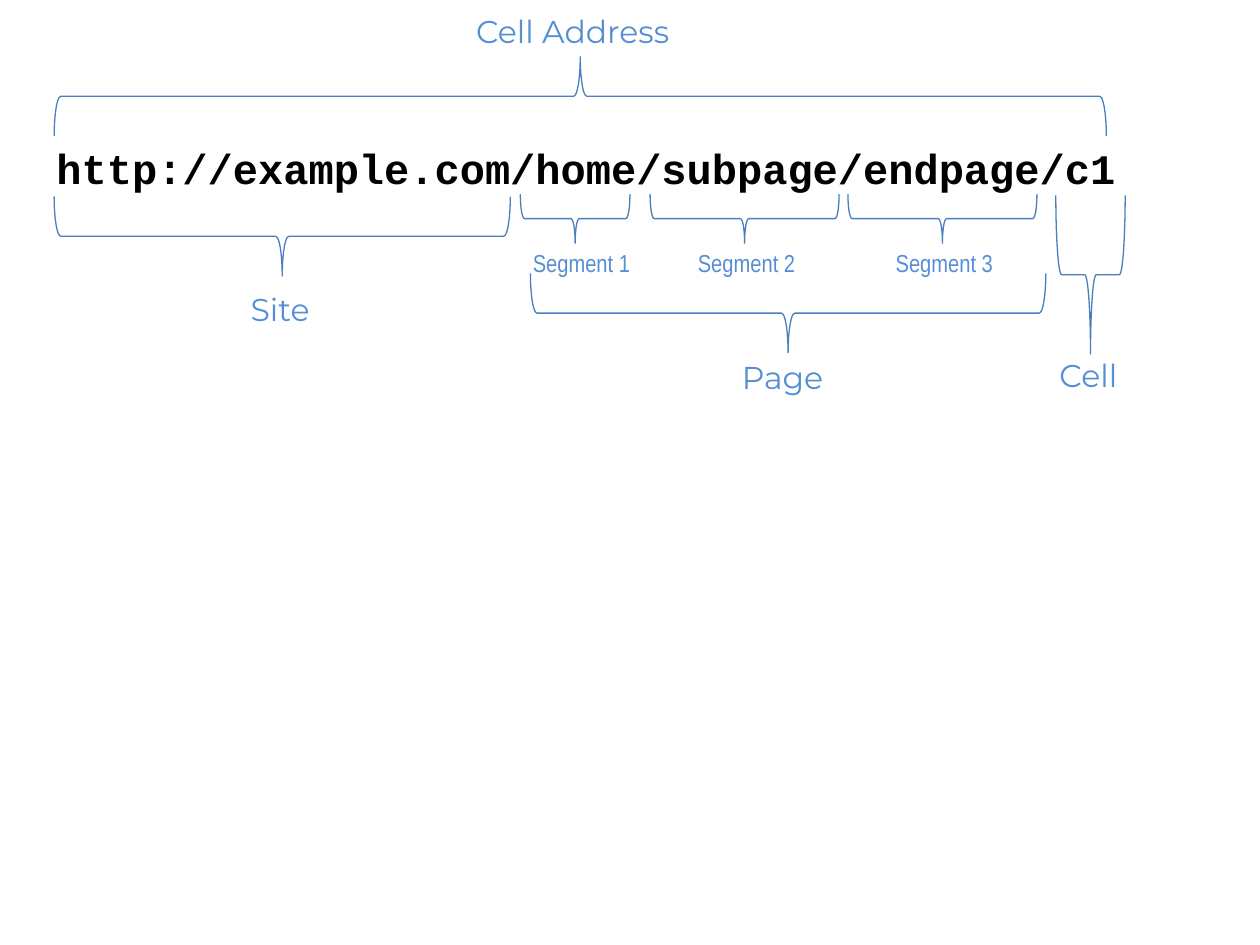
from pptx import Presentation
from pptx.dml.color import RGBColor
from pptx.enum.shapes import MSO_SHAPE
from pptx.enum.text import MSO_ANCHOR, MSO_AUTO_SIZE
from pptx.util import Inches, Pt

# Content: address and its parts
ADDRESS = "http://example.com/home/subpage/endpage/c1"
ADDRESS_BOX = (0.35, 1.08, 8.67, 0.5)
LABEL_COLOR, BRACE_COLOR = "558ED5", "4B7EBC"
MAIN = dict(font="Montserrat", size=18, color=LABEL_COLOR)
SEGMENT = dict(font="Arial Narrow", size=14, color=LABEL_COLOR)

# Label, label box, area its brace covers, brace rotation, label format
PARTS = [
    ("Cell Address", (3.68, 0.05, 1.95, 0.4), (0.43, 0.45, 8.35, 0.63), 90, MAIN),
    ("Site", (1.89, 2.25, 0.75, 0.4), (0.43, 1.56, 3.62, 0.63), 270, MAIN),
    ("Segment 1", (4.13, 1.92, 0.98, 0.34), (4.13, 1.54, 0.87, 0.39), 270, SEGMENT),
    ("Segment 2", (5.44, 1.92, 0.98, 0.34), (5.16, 1.54, 1.5, 0.39), 270, SEGMENT),
    ("Segment 3", (7.01, 1.92, 0.98, 0.34), (6.73, 1.54, 1.5, 0.39), 270, SEGMENT),
    ("Cell", (8.31, 2.78, 0.73, 0.4), (8.38, 1.55, 0.55, 1.26), 270, MAIN),
    ("Page", (5.79, 2.79, 0.89, 0.4), (4.21, 2.17, 4.09, 0.63), 270, MAIN),
]


def rgb(value):
    return RGBColor.from_string(value)


def add_text(slide, text, box, *, font, size, color, bold=False):
    frame = slide.shapes.add_textbox(*map(Inches, box)).text_frame
    frame.word_wrap = False
    frame.auto_size = MSO_AUTO_SIZE.SHAPE_TO_FIT_TEXT
    frame.vertical_anchor = MSO_ANCHOR.TOP
    run = frame.paragraphs[0].add_run()
    run.text = text
    run.font.name = font
    run.font.size = Pt(size)
    run.font.bold = bold
    run.font.color.rgb = rgb(color)


def add_brace(slide, area, rotation):
    left, top, span, depth = area
    # A quarter turn about the centre swaps width and height
    shift = (span - depth) / 2
    brace = slide.shapes.add_shape(
        MSO_SHAPE.LEFT_BRACE,
        *map(Inches, (left + shift, top - shift, depth, span)))
    brace.rotation = rotation
    brace.adjustments[0] = 0.083
    brace.adjustments[1] = 0.5
    brace.shadow.inherit = False
    brace.fill.background()
    brace.line.color.rgb = rgb(BRACE_COLOR)
    brace.line.width = Pt(0.75)


def main():
    prs = Presentation()
    prs.slide_width, prs.slide_height = Inches(10), Inches(7.5)
    slide = prs.slides.add_slide(prs.slide_layouts[6])

    # Address line
    add_text(slide, ADDRESS, ADDRESS_BOX,
             font="Courier New", size=24, color="000000", bold=True)

    # Braces with their labels
    for label, label_box, area, rotation, label_format in PARTS:
        add_brace(slide, area, rotation)
        add_text(slide, label, label_box, **label_format)

    prs.save("out.pptx")


if __name__ == "__main__":
    main()
